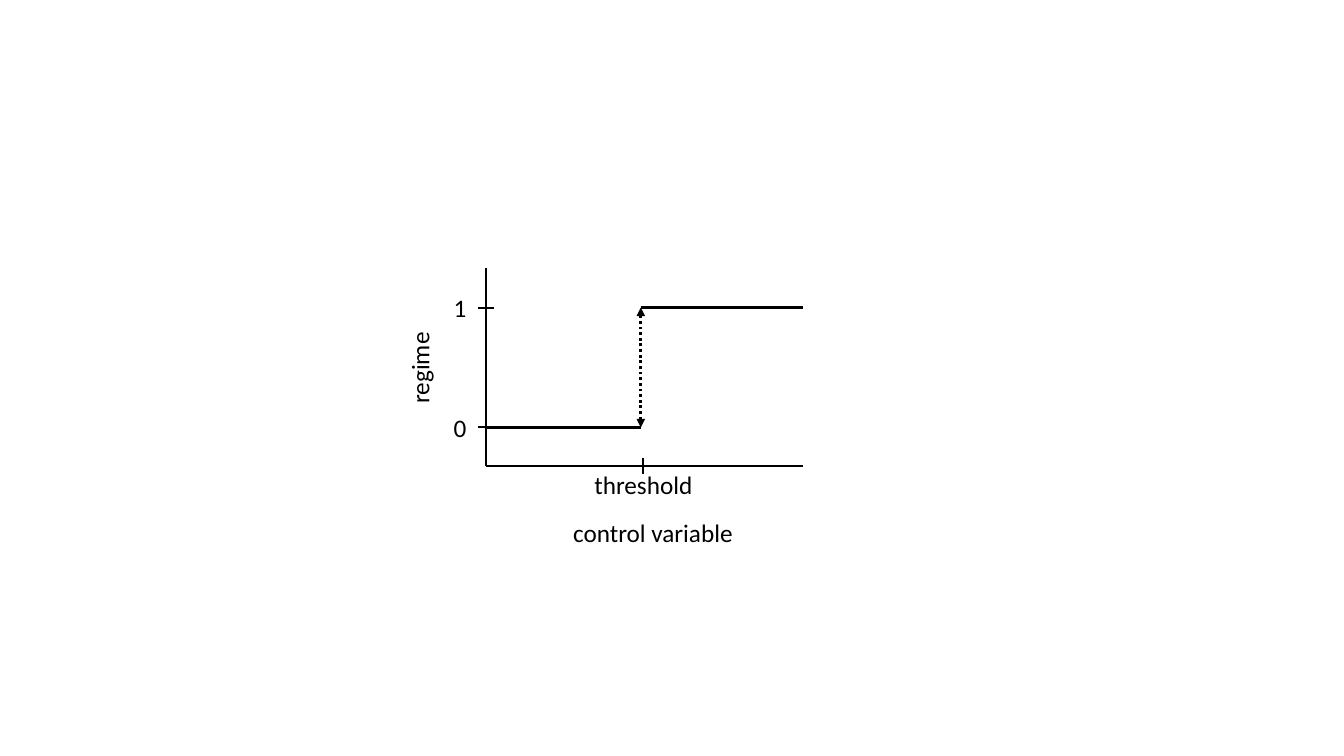
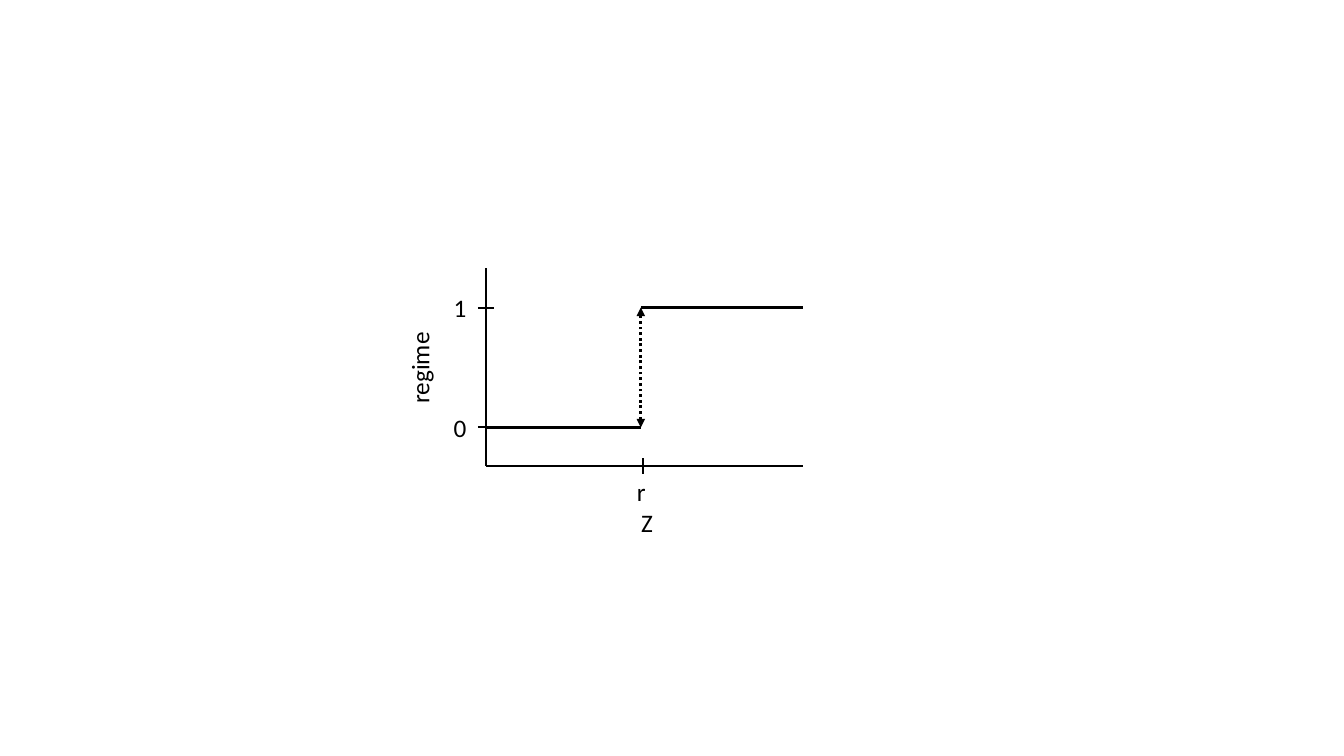
from dataclasses import dataclass

from lxml.etree import SubElement
from pptx import Presentation
from pptx.dml.color import RGBColor
from pptx.enum.dml import MSO_LINE
from pptx.enum.shapes import MSO_CONNECTOR
from pptx.enum.text import MSO_AUTO_SIZE
from pptx.oxml.ns import qn
from pptx.slide import Slide
from pptx.util import Cm, Pt

BLACK = "000000"
FONT_NAME = "Calibri"
FONT_SIZE = 18
AXIS_WEIGHT = 1.5
REGIME_WEIGHT = 2
LABEL_HEIGHT = 1.02

AXIS_LEFT, AXIS_RIGHT = 12.24, 20.24
AXIS_TOP, AXIS_BOTTOM = 6.76, 11.74
REGIME_LEVELS = {"1": 7.75, "0": 10.77}
JUMP_X = 16.15
THRESHOLD_X = 16.21
TICK_HALF = 0.2


@dataclass(frozen=True)
class Line:
    start_x: float
    start_y: float
    end_x: float
    end_y: float
    weight: float = AXIS_WEIGHT
    dotted_arrow: bool = False


@dataclass(frozen=True)
class Label:
    text: str
    center_x: float
    center_y: float
    width: float
    rotation: float = 0


def color(value: str) -> RGBColor:
    return RGBColor.from_string(value)


def draw_line(slide: Slide, line: Line) -> None:
    connector = slide.shapes.add_connector(
        MSO_CONNECTOR.STRAIGHT,
        Cm(line.start_x), Cm(line.start_y), Cm(line.end_x), Cm(line.end_y),
    )
    connector.line.color.rgb = color(BLACK)
    connector.line.width = Pt(line.weight)
    if line.dotted_arrow:
        connector.line.dash_style = MSO_LINE.ROUND_DOT
        outline = connector.line._get_or_add_ln()
        for arrowhead in ("a:headEnd", "a:tailEnd"):
            SubElement(outline, qn(arrowhead), type="triangle")
    SubElement(connector._element.spPr, qn("a:effectLst"))


def draw_label(slide: Slide, label: Label) -> None:
    shape = slide.shapes.add_textbox(
        Cm(label.center_x - label.width / 2),
        Cm(label.center_y - LABEL_HEIGHT / 2),
        Cm(label.width),
        Cm(LABEL_HEIGHT),
    )
    shape.rotation = label.rotation
    text_frame = shape.text_frame
    text_frame.word_wrap = False
    text_frame.auto_size = MSO_AUTO_SIZE.SHAPE_TO_FIT_TEXT
    text_frame.text = label.text
    font = text_frame.paragraphs[0].runs[0].font
    font.name = FONT_NAME
    font.size = Pt(FONT_SIZE)
    font.color.rgb = color(BLACK)


def draw_regime_diagram(
    slide: Slide, threshold_label: Label, variable_label: Label
) -> None:
    upper, lower = REGIME_LEVELS["1"], REGIME_LEVELS["0"]
    lines = [
        Line(AXIS_LEFT, AXIS_BOTTOM, AXIS_RIGHT, AXIS_BOTTOM),
        Line(AXIS_LEFT, AXIS_BOTTOM, AXIS_LEFT, AXIS_TOP),
        *(
            Line(AXIS_LEFT - TICK_HALF, level, AXIS_LEFT + TICK_HALF, level)
            for level in REGIME_LEVELS.values()
        ),
        Line(THRESHOLD_X, AXIS_BOTTOM + TICK_HALF,
             THRESHOLD_X, AXIS_BOTTOM - TICK_HALF),
        Line(AXIS_LEFT, lower, JUMP_X, lower, REGIME_WEIGHT),
        Line(JUMP_X, upper, AXIS_RIGHT, upper, REGIME_WEIGHT),
        Line(JUMP_X, lower, JUMP_X, upper, REGIME_WEIGHT, dotted_arrow=True),
    ]
    labels = [
        *(Label(name, 11.6, level, 0.84) for name, level in REGIME_LEVELS.items()),
        threshold_label,
        Label("regime", 10.57, 9.25, 2.34, rotation=270),
        variable_label,
    ]
    for line in lines:
        draw_line(slide, line)
    for label in labels:
        draw_label(slide, label)


DIAGRAM_LABELS = [
    (Label("threshold", 16.24, 12.22, 3.02),
     Label("control variable", 16.48, 13.41, 4.57)),
    (Label("r", 16.17, 12.4, 0.74),
     Label("Z", 16.31, 13.16, 0.81)),
]

presentation = Presentation()
presentation.slide_width = Cm(33.87)
presentation.slide_height = Cm(19.05)
blank_layout = presentation.slide_layouts[6]
for threshold_label, variable_label in DIAGRAM_LABELS:
    draw_regime_diagram(
        presentation.slides.add_slide(blank_layout), threshold_label, variable_label
    )
presentation.save("out.pptx")
